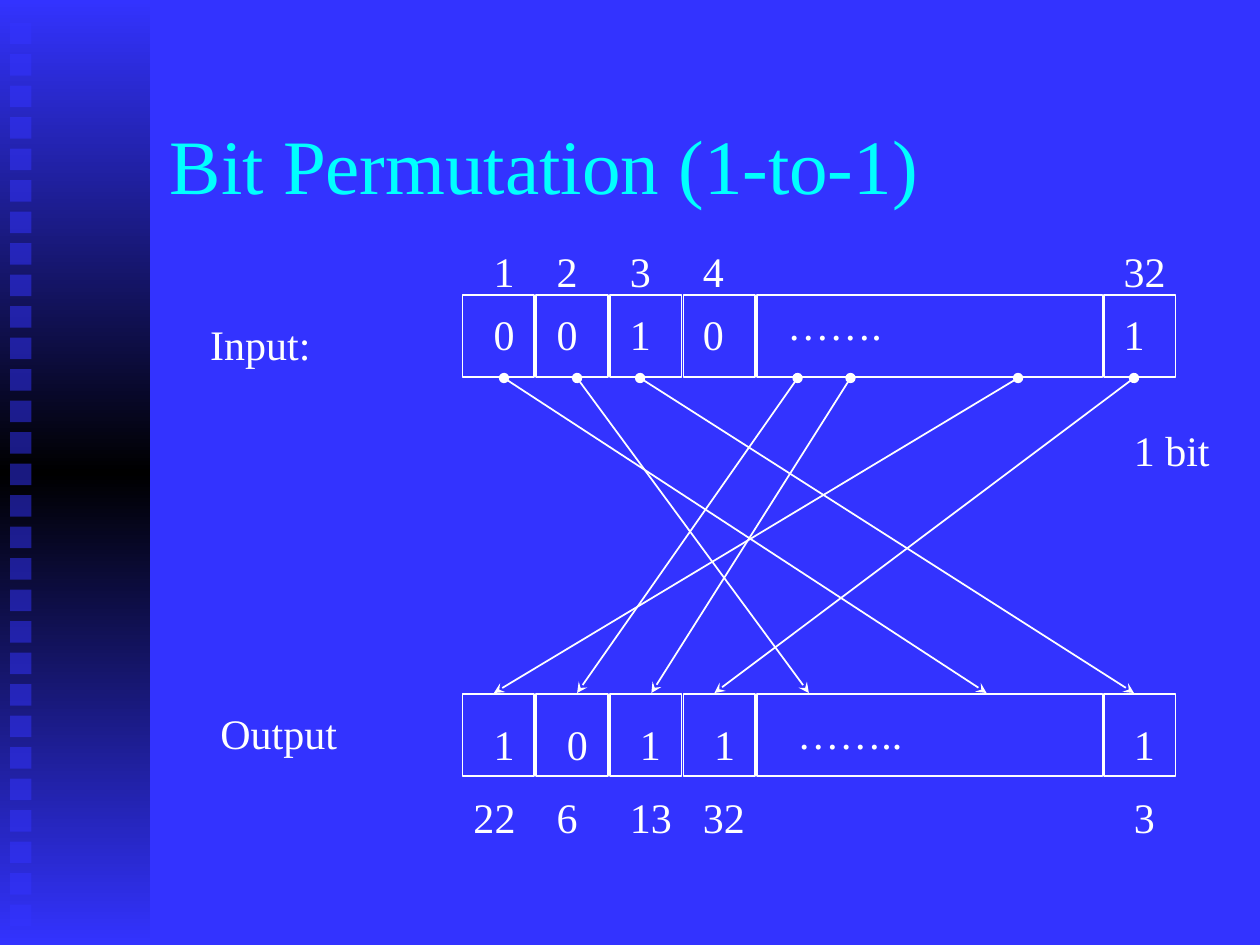
from copy import deepcopy
from dataclasses import dataclass

from pptx import Presentation
from pptx.dml.color import RGBColor
from pptx.enum.shapes import MSO_CONNECTOR, MSO_SHAPE
from pptx.enum.text import MSO_ANCHOR, MSO_AUTO_SIZE
from pptx.oxml.ns import qn
from pptx.util import Inches, Pt
from lxml.etree import SubElement


@dataclass(frozen=True)
class Theme:
    blue: RGBColor = RGBColor(0x33, 0x33, 0xFF)
    black: RGBColor = RGBColor(0, 0, 0)
    cyan: RGBColor = RGBColor(0, 0xFF, 0xFF)
    white: RGBColor = RGBColor(0xFF, 0xFF, 0xFF)
    font: str = "Times New Roman"
    head: int = 44
    body: int = 24
    line: int = 1


theme = Theme()


def add_text(slide, text, box, size=theme.body, color=theme.white,
             wrap=False, anchor=MSO_ANCHOR.TOP, stops=()):
    shape = slide.shapes.add_textbox(*map(Inches, box))
    frame = shape.text_frame
    frame.word_wrap = wrap
    frame.auto_size = MSO_AUTO_SIZE.NONE if wrap else MSO_AUTO_SIZE.SHAPE_TO_FIT_TEXT
    frame.vertical_anchor = anchor
    para = frame.paragraphs[0]
    if stops:
        tabs = SubElement(para._p.get_or_add_pPr(), qn("a:tabLst"))
        for stop in stops:
            SubElement(tabs, qn("a:tab"), pos=str(Inches(stop)), algn="l")
    run = para.add_run()
    run.text = text
    run.font.name = theme.font
    run.font.size = Pt(size)
    run.font.color.rgb = color


def add_rect(slide, box):
    shape = slide.shapes.add_shape(MSO_SHAPE.RECTANGLE, *map(Inches, box))
    shape.shadow.inherit = False
    shape.fill.background()
    shape.line.fill.background()
    return shape


def add_band(slide, box):
    left, top, width, height = box
    band = add_rect(slide, box)
    band.fill.gradient()
    band.fill.gradient_angle = 90
    stops = next(band._element.iter(qn("a:gsLst")))
    stops.append(deepcopy(stops[0]))
    shades = (theme.blue, theme.black, theme.blue)
    for stop, shade, place in zip(band.fill.gradient_stops, shades, (0, 0.5, 1)):
        stop.color.rgb = shade
        stop.position = place
    pitch = height / 30
    for row in range(29):
        tile = add_rect(slide, (left + 0.08, top + 0.18 + row * pitch, 0.17, 0.17))
        tile.fill.solid()
        tile.fill.fore_color.rgb = theme.blue
        color = next(tile._element.spPr.iter(qn("a:srgbClr")))
        SubElement(color, qn("a:alpha"), val="50000")


def add_cells(slide, box):
    left, top, width, height = box
    pitch = 0.585
    cell = 0.57
    spans = [(left + col * pitch, cell) for col in range(4)]
    spans += [(left + 4 * pitch, 2.74), (left + width - cell, cell)]
    for start, span in spans:
        rect = add_rect(slide, (start, top, span, height))
        rect.line.color.rgb = theme.white
        rect.line.width = Pt(theme.line)


def add_row(slide, words, marks, box):
    inset = 0.1
    stops = [mark - box[0] - inset for mark in marks]
    add_text(slide, "".join("\t" + word for word in words), box, wrap=True, stops=stops)


def add_links(slide, box, pairs):
    left, top, width, height = box
    for start, end in pairs:
        ends = (left + start, top, left + end, top + height)
        link = slide.shapes.add_connector(MSO_CONNECTOR.STRAIGHT, *map(Inches, ends))
        link.line.color.rgb = theme.white
        link.line.width = Pt(theme.line)
        line = link.line._ln
        SubElement(line, qn("a:headEnd"), type="oval")
        SubElement(line, qn("a:tailEnd"), type="stealth")
        SubElement(link._element.spPr, qn("a:effectLst"))


def main():
    deck = Presentation()
    deck.slide_width, deck.slide_height = Inches(10), Inches(7.5)
    slide = deck.slides.add_slide(deck.slide_layouts[6])
    slide.background.fill.solid()
    slide.background.fill.fore_color.rgb = theme.blue

    add_band(slide, (0, 0, 1.19, 7.5))
    add_text(slide, "Bit Permutation (1-to-1)", (1.25, 0.67, 8.5, 1.25),
             size=theme.head, color=theme.cyan, wrap=True, anchor=MSO_ANCHOR.MIDDLE)

    for top in (2.34, 5.51):
        add_cells(slide, (3.67, top, 5.66, 0.65))

    rows = (
        (1.9, ("1", "2", "3", "4", "32"), (3.92, 4.42, 5, 5.58, 8.92)),
        (2.4, ("0", "0", "1", "0", "1"), (3.92, 4.42, 5, 5.58, 8.92)),
        (5.65, ("1", "0", "1", "1", "1"), (3.92, 4.5, 5.08, 5.67, 9)),
        (6.23, ("22", "6", "13", "32", "3"), (3.76, 4.42, 5, 5.58, 9)),
    )
    for top, words, marks in rows:
        add_row(slide, words, marks, (3.65, top, 5.7, 0.5))

    labels = (
        ("…….", 6.15, 2.32, 0.95),
        ("……..", 6.23, 5.57, 1.04),
        ("Input:", 1.57, 2.48, 1),
        ("Output", 1.65, 5.57, 1.13),
        ("1 bit", 8.9, 3.32, 0.8),
    )
    for text, left, top, width in labels:
        add_text(slide, text, (left, top, width, 0.5))

    add_links(slide, (3.67, 3, 5.66, 2.5), (
        (1.41, 5.33), (5.33, 2), (2.66, 0.91), (4.41, 0.25),
        (3.08, 1.5), (0.33, 4.16), (0.91, 2.75),
    ))
    deck.save("out.pptx")


if __name__ == "__main__":
    main()
